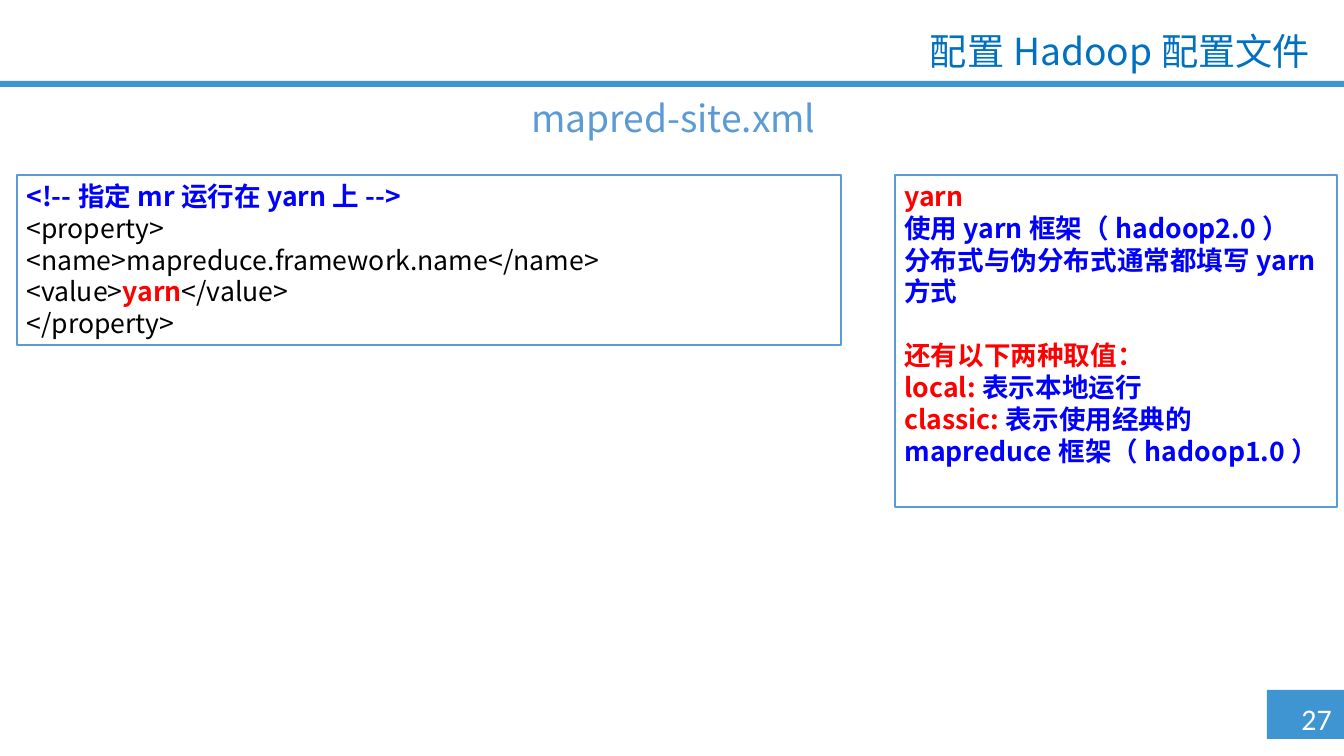
from dataclasses import dataclass

from pptx import Presentation
from pptx import util as u
from pptx.dml.color import RGBColor
from pptx.enum import shapes, text

PX = 9565


@dataclass(frozen=True)
class Theme:
    """Colours, fonts and type sizes of the slide."""
    band: str = "3F95D2"
    title: str = "0070C0"
    accent: str = "5B9BD5"
    note: str = "0000FF"
    key: str = "FF0000"
    code: str = "000000"
    white: str = "FFFFFF"
    font: str = "Noto Sans CJK SC"
    number_font: str = "Calibri"
    heading_size: float = 28
    body_size: float = 20
    number_size: float = 22.5
    leading: float = 1.2


THEME = Theme()
NOTE, KEY, CODE = (THEME.note, True), (THEME.key, True), (THEME.code, False)

CONFIG_LINES = [
    [("<!--指定mr运行在yarn上-->", NOTE)],
    [("<property>", CODE)],
    [("<name>mapreduce.framework.name</name>", CODE)],
    [("<value>", CODE), ("yarn", KEY), ("</value>", CODE)],
    [("</property>", CODE)],
]
YARN_LINES = [
    [("yarn", KEY)],
    [("使用yarn框架（hadoop2.0）", NOTE)],
    [("分布式与伪分布式通常都填写yarn方式", NOTE)],
]
OTHER_VALUE_LINES = [
    [("还有以下两种取值：", KEY)],
    [("local:", KEY), ("表示本地运行", NOTE)],
    [("classic:", KEY), ("表示使用经典的mapreduce框架（hadoop1.0）", NOTE)],
]


def scaled(box):
    """Turn a box in px into EMU lengths."""
    return [u.Emu(length * PX) for length in box]


def paint(font, colour, bold):
    """Set the colour and weight of a font."""
    font.color.rgb = RGBColor.from_string(colour)
    font.bold = bold


def add_panel(slide, box, fill, line=None):
    """Draw a flat rectangle, outlined if a line colour is given."""
    panel = slide.shapes.add_shape(shapes.MSO_SHAPE.RECTANGLE, *scaled(box))
    panel.shadow.inherit = False
    panel.fill.solid()
    panel.fill.fore_color.rgb = RGBColor.from_string(fill)
    if line:
        panel.line.color.rgb = RGBColor.from_string(line)
        panel.line.width = u.Pt(1)
    else:
        panel.line.fill.background()
    return panel


def write_line(paragraph, parts, size, font=THEME.font):
    """Write coloured parts into one paragraph with a fixed line height."""
    paragraph.alignment = text.PP_ALIGN.LEFT
    paragraph.line_spacing = u.Pt(size * THEME.leading)
    paragraph.font.size = u.Pt(size)
    paragraph.font.name = font
    for words, style in parts:
        run = paragraph.add_run()
        run.text = words
        paint(paragraph.font if len(parts) == 1 else run.font, *style)


def add_label(slide, box, words, colour, size, font=THEME.font):
    """Place one line of text in a box."""
    frame = slide.shapes.add_textbox(*scaled(box)).text_frame
    frame.word_wrap = True
    write_line(frame.paragraphs[0], [(words, (colour, False))], size, font)


def add_text_panel(slide, box, groups):
    """Place an outlined panel whose groups of lines are one line apart."""
    frame = add_panel(slide, box, THEME.white, THEME.accent).text_frame
    frame.word_wrap = True
    frame.vertical_anchor = text.MSO_ANCHOR.TOP
    paragraph = frame.paragraphs[0]
    for group_index, lines in enumerate(groups):
        for line_index, parts in enumerate(lines):
            if group_index or line_index:
                paragraph = frame.add_paragraph()
            if group_index and not line_index:
                paragraph.space_before = u.Pt(THEME.body_size * THEME.leading)
            write_line(paragraph, parts, THEME.body_size)


def add_header(slide, box):
    """Place the title above the band that closes the header."""
    left, top, width, height = box
    add_panel(slide, (left, top + height - 6, width, 6), THEME.band)
    title = slide.shapes.title
    title.left, title.top, title.width, title.height = scaled(
        (left + width - 732, top + 32, 707, 38))
    frame = title.text_frame
    frame.word_wrap = True
    frame.vertical_anchor = text.MSO_ANCHOR.MIDDLE
    heading = frame.paragraphs[0]
    write_line(heading, [("配置Hadoop配置文件", (THEME.title, False))],
               THEME.heading_size)
    heading.alignment = text.PP_ALIGN.RIGHT


def add_page_number(slide, box):
    """Place the page number on its corner block."""
    left, top, width, height = box
    add_panel(slide, box, THEME.band)
    add_label(slide, (left + 25, top + 6, width - 25, height - 3), "27",
              THEME.white, THEME.number_size, THEME.number_font)


def main():
    """Build the slide and save it."""
    deck = Presentation()
    deck.slide_width, deck.slide_height = scaled((1344, 756))
    slide = deck.slides.add_slide(deck.slide_layouts[5])
    add_header(slide, (0, 0, 1344, 87))
    add_label(slide, (522, 91, 559, 54), "mapred-site.xml",
              THEME.accent, THEME.heading_size)
    add_text_panel(slide, (17, 175, 824, 170), [CONFIG_LINES])
    add_text_panel(slide, (895, 175, 442, 332), [YARN_LINES, OTHER_VALUE_LINES])
    add_page_number(slide, (1267, 690, 77, 49))
    deck.save("out.pptx")


if __name__ == "__main__":
    main()
